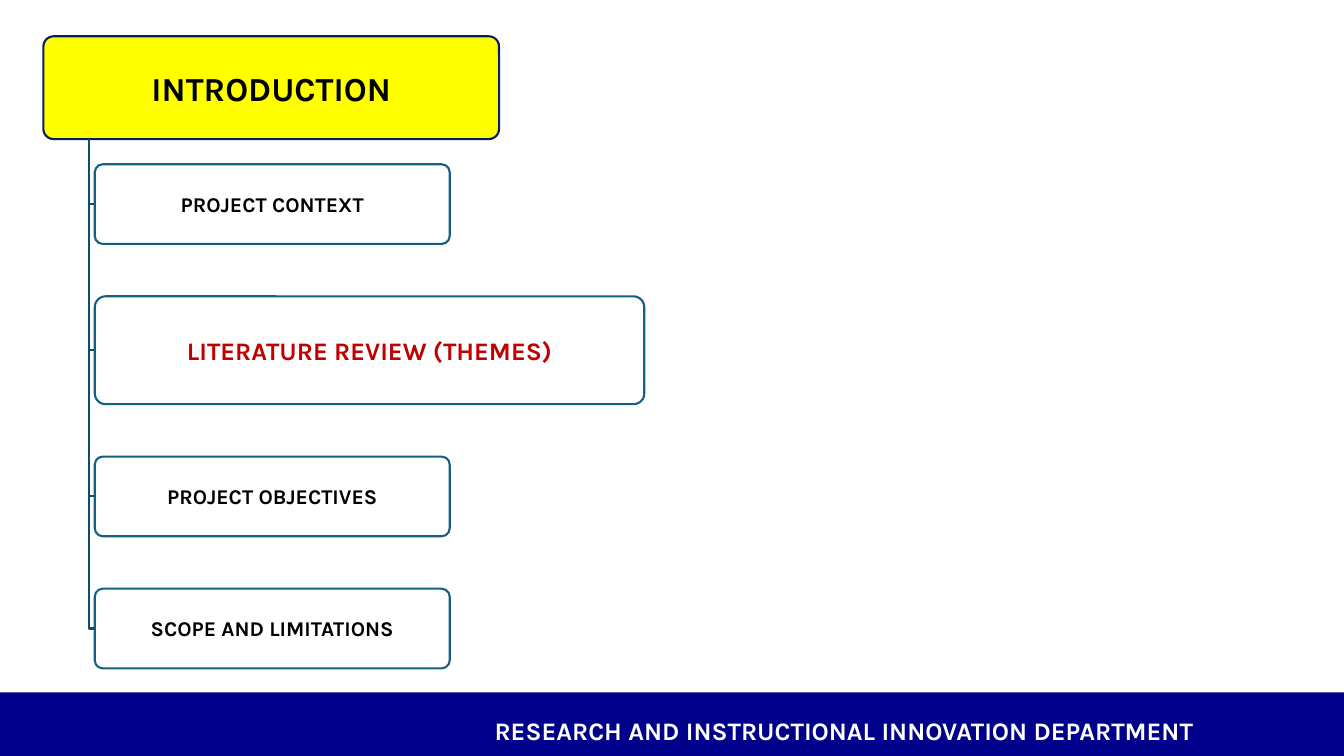
"""Build the introduction outline slide with its hierarchy of topics."""
from typing import NamedTuple

from lxml.etree import SubElement
from pptx import Presentation
from pptx.dml.color import RGBColor
from pptx.enum.shapes import MSO_SHAPE
from pptx.enum.text import MSO_ANCHOR, MSO_AUTO_SIZE, PP_ALIGN
from pptx.oxml.ns import qn
from pptx.util import Inches, Pt

NAVY = RGBColor(0x00, 0x00, 0x8B)
YELLOW = RGBColor(0xFF, 0xFF, 0x00)
DARK_BLUE = RGBColor(0x00, 0x20, 0x60)
TEAL = RGBColor(0x15, 0x60, 0x82)
DARK_TEAL = RGBColor(0x11, 0x4D, 0x68)
RED = RGBColor(0xC0, 0x00, 0x00)
BLACK = RGBColor(0x00, 0x00, 0x00)
WHITE = RGBColor(0xFF, 0xFF, 0xFF)

SLIDE_W, SLIDE_H = 13.33, 7.5
FOOTER_TOP = 6.87
HEAD_X, HEAD_Y, HEAD_W, HEAD_H = 0.43, 0.36, 4.52, 1.02
TRUNK_X, TOPIC_X = 0.88, 0.94
FIRST_TOPIC_Y, TOPIC_GAP = 1.63, 0.52


class Topic(NamedTuple):
    """One box of the hierarchy."""
    text: str
    width: float = 3.52
    height: float = 0.79
    size: int = 15
    color: RGBColor = BLACK


TOPICS = [
    Topic("PROJECT CONTEXT"),
    Topic("LITERATURE REVIEW (THEMES)", 5.45, 1.07, 18, RED),
    Topic("PROJECT OBJECTIVES"),
    Topic("SCOPE AND LIMITATIONS"),
]


def set_text(shape, text: str, size: int, color: RGBColor, inset: float = 0.03) -> None:
    """Write one centred bold line in a shape."""
    tf = shape.text_frame
    frame = {"word_wrap": True, "auto_size": MSO_AUTO_SIZE.NONE,
             "vertical_anchor": MSO_ANCHOR.MIDDLE,
             "margin_left": Inches(inset), "margin_right": Inches(inset),
             "margin_top": Inches(0.03), "margin_bottom": Inches(0.03)}
    for name, value in frame.items():
        setattr(tf, name, value)
    p = tf.paragraphs[0]
    p.alignment = PP_ALIGN.CENTER
    r = p.add_run()
    r.text = text
    for name, value in {"name": "Karla", "size": Pt(size), "bold": True}.items():
        setattr(r.font, name, value)
    r.font.color.rgb = color


def add_box(s, x: float, y: float, w: float, h: float, fill: RGBColor, line: RGBColor):
    """Add a rounded box with an outline."""
    sp = s.shapes.add_shape(MSO_SHAPE.ROUNDED_RECTANGLE,
                            Inches(x), Inches(y), Inches(w), Inches(h))
    sp.shadow.inherit = False
    sp.adjustments[0] = 0.1
    sp.fill.solid()
    sp.fill.fore_color.rgb = fill
    sp.line.color.rgb = line
    sp.line.width = Pt(1.5)
    return sp


def add_branch(s, y: float) -> None:
    """Draw the bent line from the heading to a topic at height y."""
    builder = s.shapes.build_freeform(Inches(TRUNK_X), Inches(HEAD_Y + HEAD_H))
    builder.add_line_segments([(Inches(TRUNK_X), Inches(y)),
                               (Inches(TOPIC_X), Inches(y))], close=False)
    sp = builder.convert_to_shape()
    sp.shadow.inherit = False
    sp.fill.background()
    sp.line.color.rgb = DARK_TEAL
    sp.line.width = Pt(1.5)


def add_topics(s) -> None:
    """Stack the topics below the heading with equal gaps."""
    y = FIRST_TOPIC_Y
    for topic in TOPICS:
        add_branch(s, y + topic.height / 2)
        sp = add_box(s, TOPIC_X, y, topic.width, topic.height, WHITE, TEAL)
        color = sp.fill._xPr.find(qn("a:solidFill"))[0]
        SubElement(color, qn("a:alpha"), val="90000")
        set_text(sp, topic.text, topic.size, topic.color)
        y += topic.height + TOPIC_GAP


def add_heading(s) -> None:
    """Place the title over its yellow box."""
    add_box(s, HEAD_X, HEAD_Y, HEAD_W, HEAD_H, YELLOW, DARK_BLUE)
    title = s.shapes.title
    place = {"left": HEAD_X, "top": HEAD_Y, "width": HEAD_W, "height": HEAD_H}
    for name, value in place.items():
        setattr(title, name, Inches(value))
    set_text(title, "INTRODUCTION", 24, BLACK, 0.05)
    s.shapes._spTree.append(title._element)


def add_footer(s) -> None:
    """Add the bottom band and the department name."""
    band = s.shapes.add_shape(MSO_SHAPE.RECTANGLE, 0, Inches(FOOTER_TOP),
                              Inches(SLIDE_W), Inches(SLIDE_H - FOOTER_TOP))
    band.shadow.inherit = False
    band.fill.solid()
    band.fill.fore_color.rgb = NAVY
    band.line.fill.background()
    sp = s.shapes.add_textbox(Inches(4.16), Inches(6.91), Inches(8.42), Inches(0.51))
    set_text(sp, "RESEARCH AND INSTRUCTIONAL INNOVATION DEPARTMENT", 18, WHITE, 0.1)
    tf = sp.text_frame
    tf.vertical_anchor = MSO_ANCHOR.TOP
    tf.margin_top = tf.margin_bottom = Inches(0.05)
    tf.paragraphs[0].line_spacing = Pt(31.8)


def main() -> None:
    """Build and save the slide."""
    prs = Presentation()
    prs.slide_width, prs.slide_height = Inches(SLIDE_W), Inches(SLIDE_H)
    s = prs.slides.add_slide(prs.slide_layouts[5])
    add_footer(s)
    add_heading(s)
    add_topics(s)
    prs.save("out.pptx")


if __name__ == "__main__":
    main()
